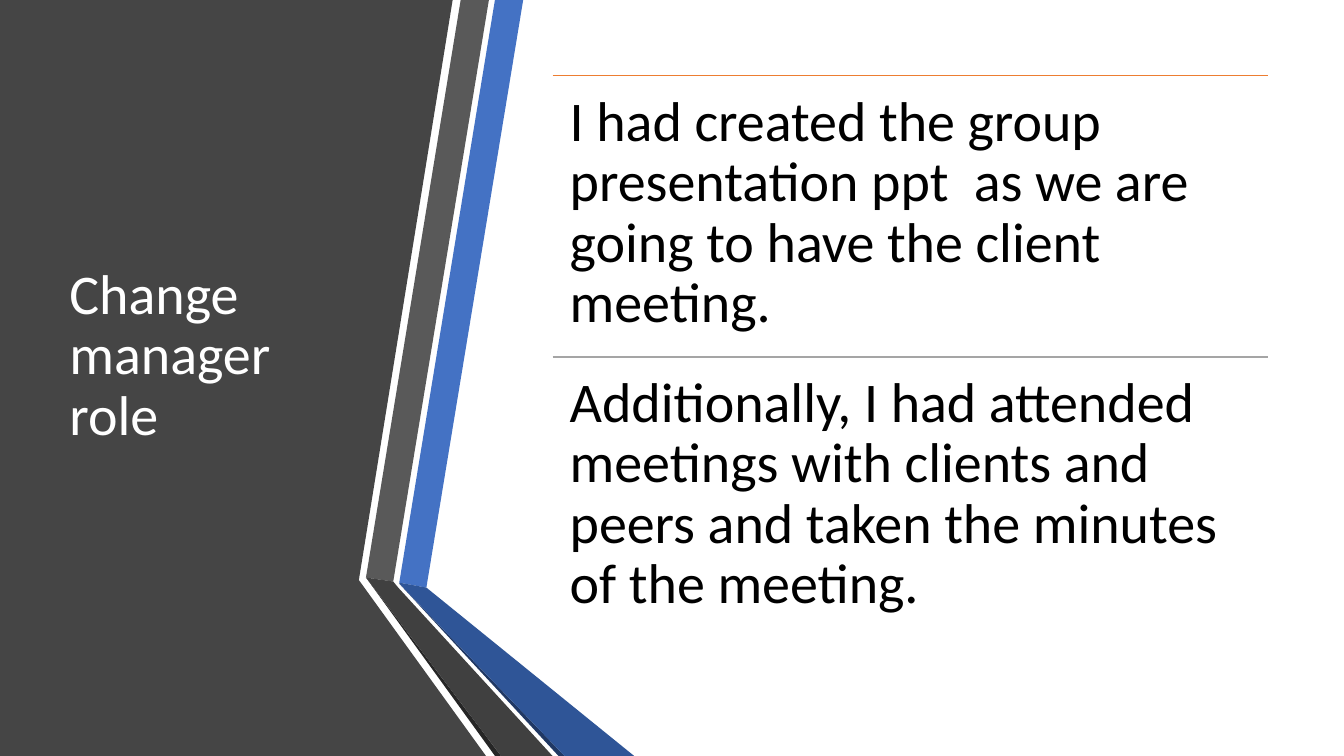
from dataclasses import dataclass

from lxml import etree
from pptx import Presentation
from pptx import util as u
from pptx.dml.color import RGBColor
from pptx.enum import shapes, text
from pptx.oxml.ns import qn


@dataclass(frozen=True)
class Theme:
    """Colours, font and type size of the slide."""

    font: str = "Calibri"
    size: int = 40
    title: str = "FFFFFF"
    body: str = "000000"
    panel: str = "454545"
    blue: str = "4472C4"
    blue_fold: str = "2F5597"
    blue_edge: str = "203864"
    grey: str = "595959"
    grey_fold: str = "404040"
    grey_edge: str = "262626"
    rules: tuple = ("ED7D31", "A5A5A5")


THEME = Theme()
WIDTH, HEIGHT = u.Inches(13.33), u.Inches(7.5)
MARGIN_TOP, ROW_HEIGHT = 10, 37.2
TITLE_LEFT, TITLE_WIDTH = 4.43, 22.8
DUTIES_LEFT, DUTIES_WIDTH = 41.11, 53.26

ROLE = "Change manager role"
DUTIES = (
    "I had created the group presentation ppt  as we are going to have the client meeting.",
    "Additionally, I had attended meetings with clients and peers and taken the minutes of the meeting.",
)

GREY_BEND, BLUE_BEND = (27.23, 76.4), (29.71, 77.2)
RIBBONS = (
    (THEME.panel, ((0, 0), (33.68, 0), (26.7, 76.73), (36.16, 100), (0, 100))),
    (THEME.blue, ((29.71, 77.07), (31.73, 77.73), (38.93, 0), (36.83, 0))),
    (THEME.grey, ((36.38, 0), (34.28, 0), GREY_BEND, (29.26, 76.93))),
    (THEME.grey_edge, (GREY_BEND, (36.83, 100), (37.28, 100))),
    (THEME.blue_edge, (BLUE_BEND, (41.56, 100), (42.01, 100))),
    (THEME.blue_fold, (BLUE_BEND, (42.01, 100), (47.19, 100), (31.73, 77.73), (29.71, 77.07))),
    (THEME.grey_fold, ((41.11, 100), (29.63, 77.73), (29.26, 76.93), GREY_BEND, (37.28, 100))),
)


def place(x, y):
    """Turn percentages of the slide's width and height into lengths."""
    return u.Emu(round(WIDTH * x / 100)), u.Emu(round(HEIGHT * y / 100))


def add_ribbon(slide, color, corners):
    """Draw one filled polygon without an outline."""
    start, *others = [place(x, y) for x, y in corners]
    outline = slide.shapes.build_freeform(*start)
    outline.add_line_segments(others, close=True)
    ribbon = outline.convert_to_shape()
    ribbon.shadow.inherit = False
    ribbon.fill.solid()
    ribbon.fill.fore_color.rgb = RGBColor.from_string(color)
    ribbon.line.fill.background()


def add_rule(slide, top, color):
    """Draw a thin rule across the column of duties."""
    start = place(DUTIES_LEFT, top)
    end = place(DUTIES_LEFT + DUTIES_WIDTH, top)
    rule = slide.shapes.add_connector(shapes.MSO_CONNECTOR.STRAIGHT, *start, *end)
    rule.line.color.rgb = RGBColor.from_string(color)
    rule.line.width = u.Pt(1)
    etree.SubElement(rule.element.spPr, qn("a:effectLst"))


def add_words(slide, words, origin, extent, color, anchor, insets):
    """Write one wrapped paragraph in a box with the given side and end insets."""
    frame = slide.shapes.add_textbox(*place(*origin), *place(*extent)).text_frame
    frame.word_wrap = True
    frame.vertical_anchor = anchor
    side, end = (u.Inches(inset) for inset in insets)
    frame.margin_left = frame.margin_right = side
    frame.margin_top = frame.margin_bottom = end
    paragraph = frame.paragraphs[0]
    paragraph.alignment = text.PP_ALIGN.LEFT
    paragraph.line_spacing = 0.9
    run = paragraph.add_run()
    run.text = words
    run.font.name = THEME.font
    run.font.size = u.Pt(THEME.size)
    run.font.color.rgb = RGBColor.from_string(color)


def main():
    """Build the slide and save it."""
    deck = Presentation()
    deck.slide_width, deck.slide_height = WIDTH, HEIGHT
    slide = deck.slides.add_slide(deck.slide_layouts[6])
    for color, corners in RIBBONS:
        add_ribbon(slide, color, corners)
    add_words(slide, ROLE, (TITLE_LEFT, MARGIN_TOP), (TITLE_WIDTH, 2 * ROW_HEIGHT),
              THEME.title, text.MSO_ANCHOR.MIDDLE, (0.1, 0.05))
    for row, (duty, color) in enumerate(zip(DUTIES, THEME.rules)):
        top = MARGIN_TOP + row * ROW_HEIGHT
        add_rule(slide, top, color)
        add_words(slide, duty, (DUTIES_LEFT, top), (DUTIES_WIDTH, ROW_HEIGHT),
                  THEME.body, text.MSO_ANCHOR.TOP, (0.17, 0.17))
    deck.save("out.pptx")


if __name__ == "__main__":
    main()
